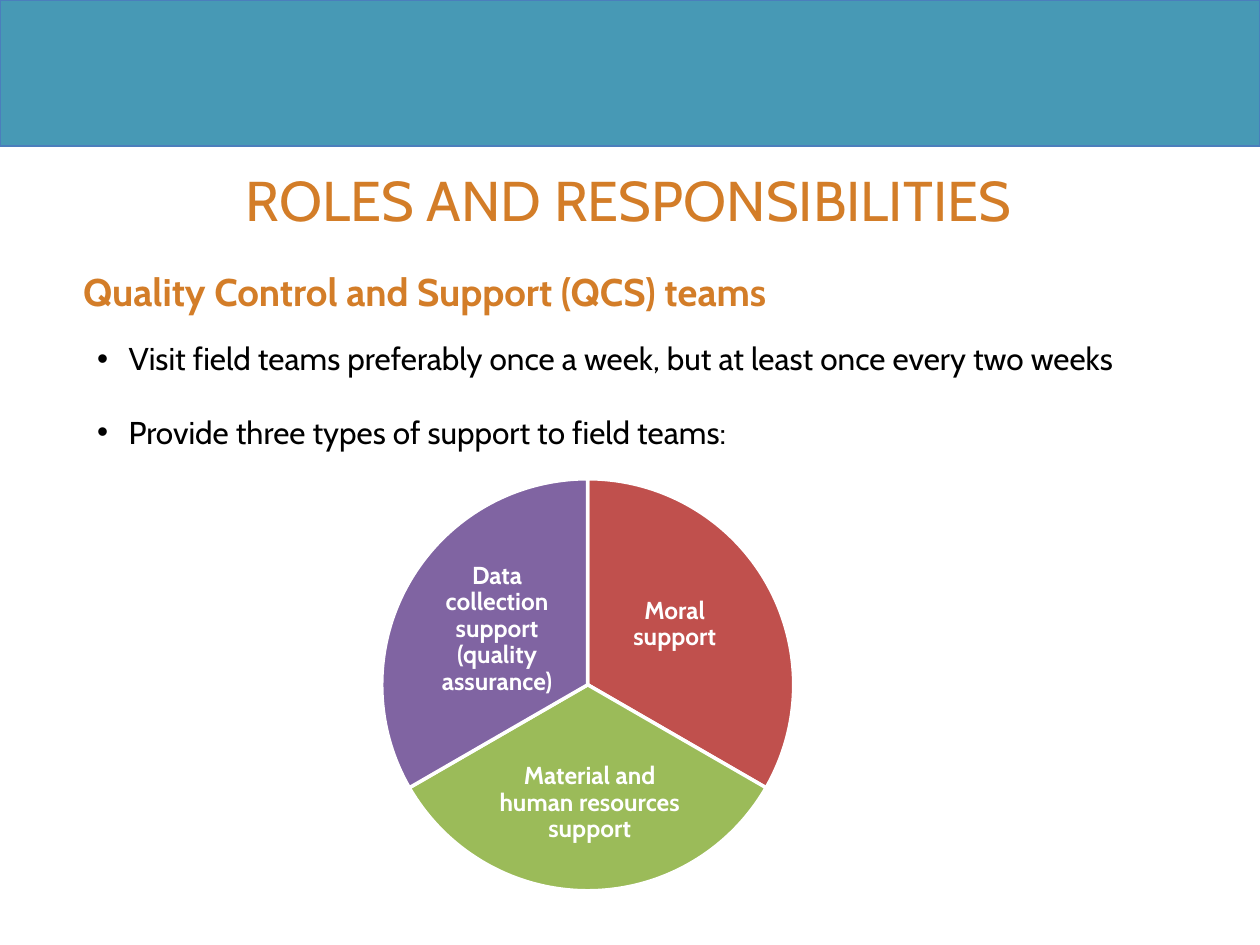
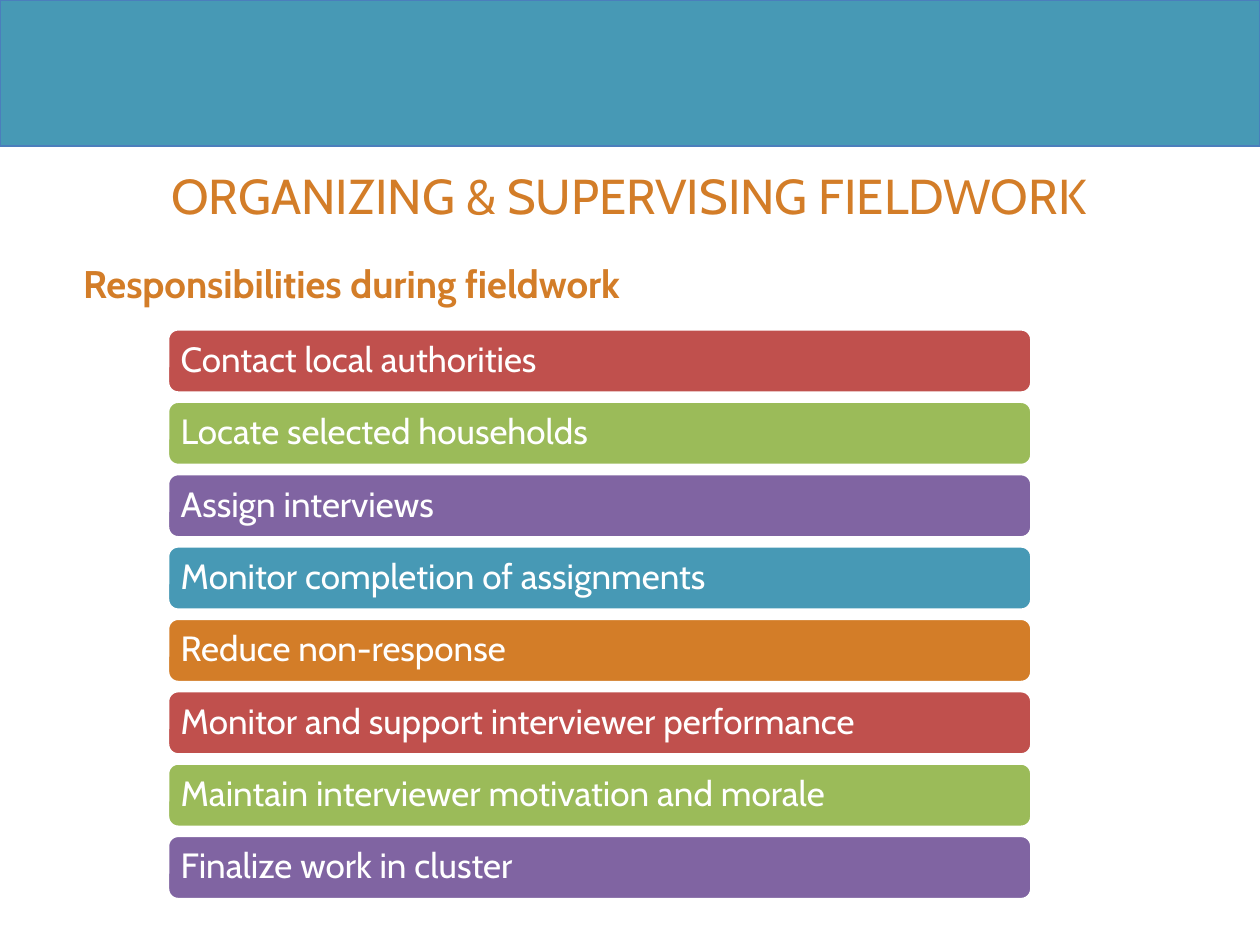
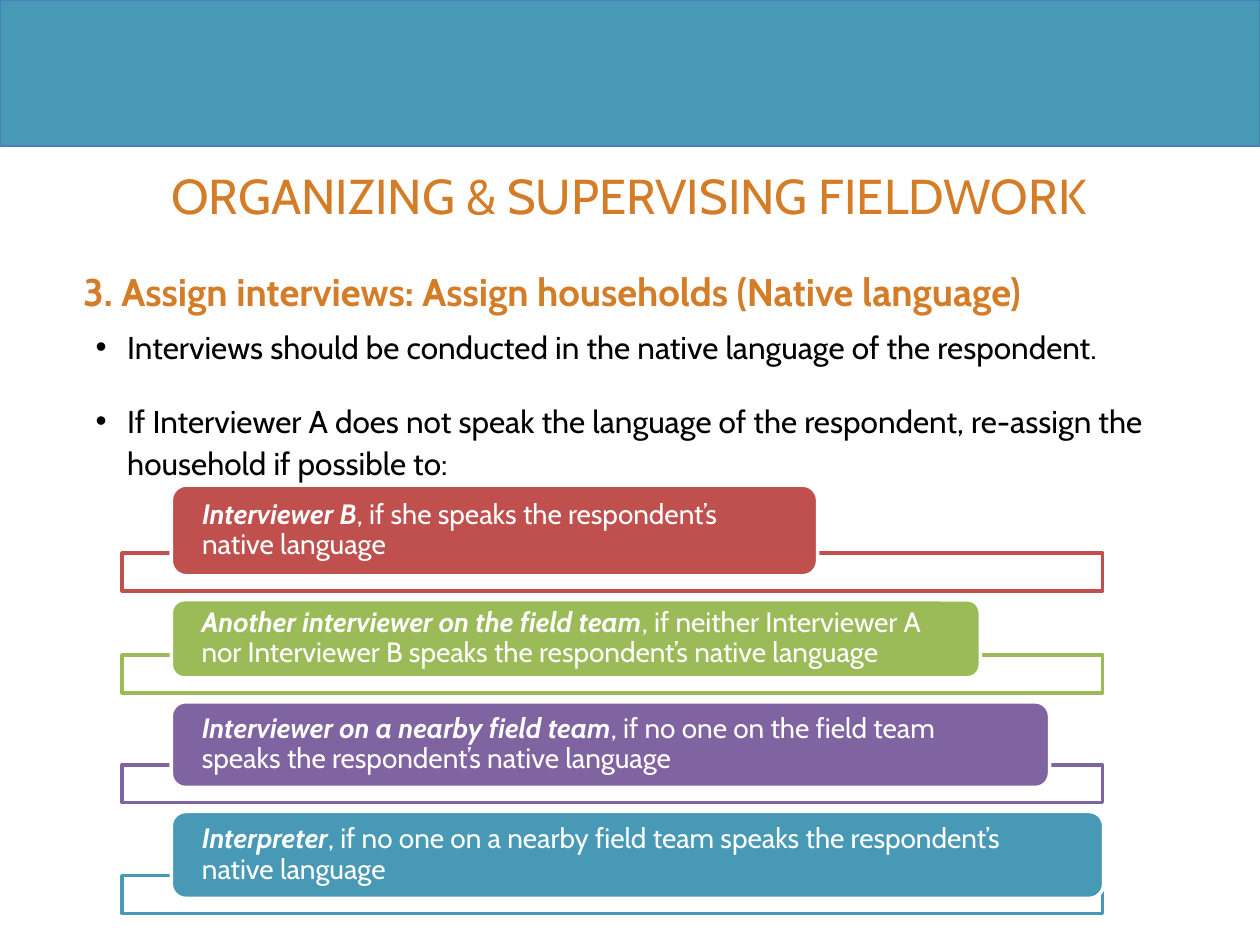
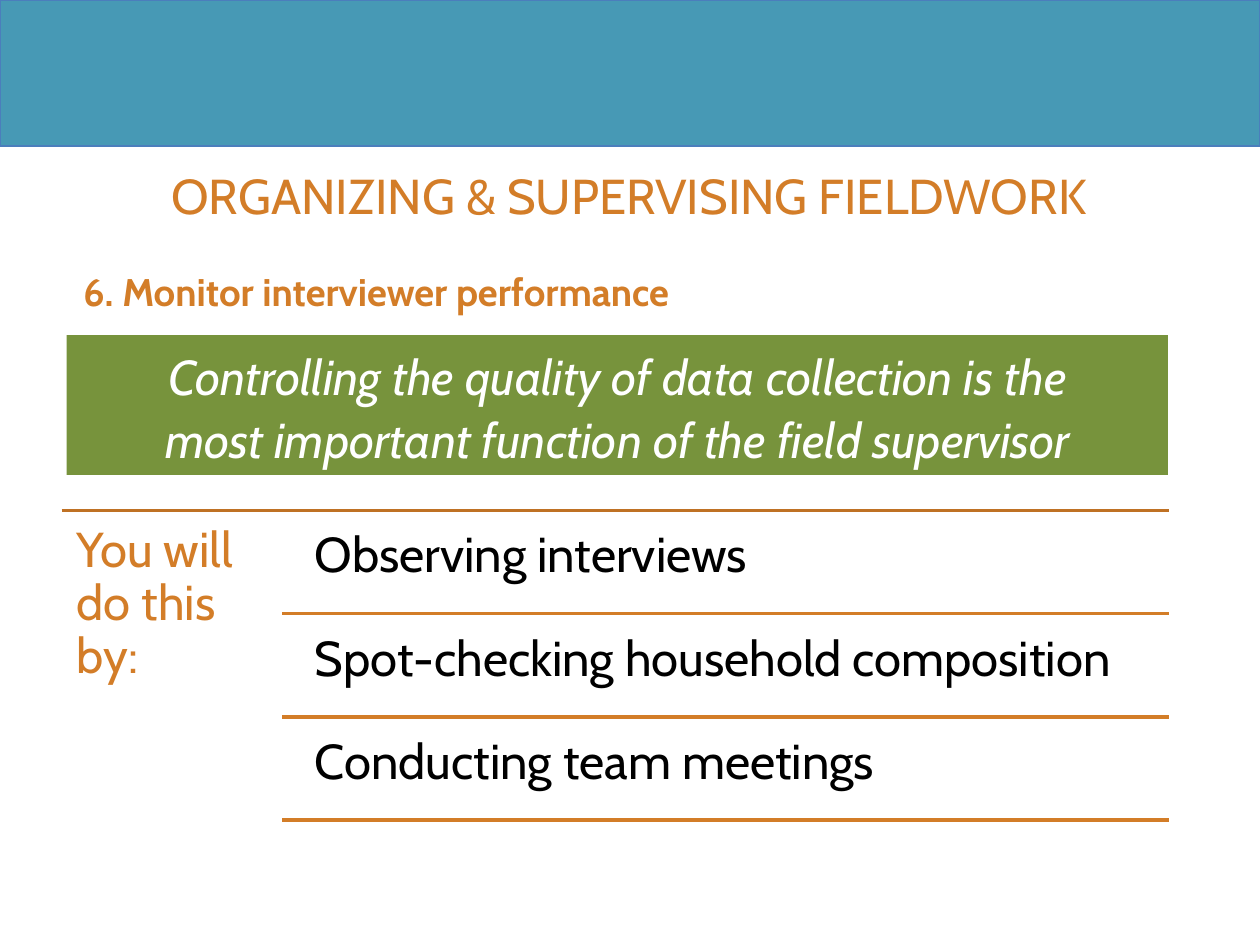
import pptx
import pptx.util
import pptx.dml.color
import pptx.enum.shapes
import pptx.enum.text
import pptx.oxml
import pptx.oxml.ns
from lxml import etree

Inches = pptx.util.Inches
Pt = pptx.util.Pt
SHAPE = pptx.enum.shapes.MSO_SHAPE
ALIGN = pptx.enum.text.PP_ALIGN
ANCHOR = pptx.enum.text.MSO_ANCHOR
qn = pptx.oxml.ns.qn

FONT = "Cabin"
COLORS = {
    "teal": "4799B5", "band_edge": "4B7EBC", "orange": "D37D28",
    "dark_orange": "BF7124", "red": "C0504D", "green": "9BBB59",
    "purple": "8064A2", "olive": "77933C", "white": "FFFFFF", "black": "000000",
}
CYCLE = ["red", "green", "purple", "teal", "orange"]
TITLE_ONLY_HEADING, TITLE_HEADING_LIST = 1, 3  # template layouts
FIELDWORK = "ORGANIZING & SUPERVISING FIELDWORK"


def rgb(name):
    return pptx.dml.color.RGBColor.from_string(COLORS[name])


def place(shape, box):
    shape.left, shape.top, shape.width, shape.height = map(Inches, box)


def set_frame(frame, insets=(0.1, 0.05), anchor=ANCHOR.TOP):
    frame.word_wrap = True
    frame.auto_size = pptx.enum.text.MSO_AUTO_SIZE.NONE
    frame.vertical_anchor = anchor
    frame.margin_left = frame.margin_right = Inches(insets[0])
    frame.margin_top = frame.margin_bottom = Inches(insets[1])


def style(paragraph, size, color, bold=False, italic=False,
          align=ALIGN.LEFT, spacing=None):
    paragraph.alignment = align
    if spacing:
        paragraph.line_spacing = spacing
    font = paragraph.font
    font.name, font.size, font.bold, font.italic = FONT, Pt(size), bold, italic
    font.color.rgb = rgb(color)


def set_bullet(paragraph, char=None, indent=0):
    """Give the paragraph a hanging bullet, or none at all."""
    props = paragraph._p.get_or_add_pPr()
    props.set("marL", str(Inches(indent)))
    props.set("indent", str(-Inches(indent)))
    if char:
        etree.SubElement(props, qn("a:buChar")).set("char", char)
    else:
        etree.SubElement(props, qn("a:buNone"))


def add_block(slide, kind, box, fill, line=None, width=2):
    block = slide.shapes.add_shape(kind, *map(Inches, box))
    block.shadow.inherit = False
    block.fill.solid()
    block.fill.fore_color.rgb = rgb(fill)
    if line:
        block.line.color.rgb = rgb(line)
        block.line.width = Pt(width)
    else:
        block.line.fill.background()
    return block


def add_label(slide, box, text, insets, anchor=ANCHOR.TOP, **look):
    label = slide.shapes.add_textbox(*map(Inches, box))
    set_frame(label.text_frame, insets, anchor)
    paragraph = label.text_frame.paragraphs[0]
    paragraph.text = text
    style(paragraph, spacing=0.9, **look)


def add_rule(slide, left, right, y, color):
    rule = slide.shapes.add_connector(
        pptx.enum.shapes.MSO_CONNECTOR.STRAIGHT,
        Inches(left), Inches(y), Inches(right), Inches(y))
    rule.line.color.rgb = rgb(color)
    rule.line.width = Pt(2)
    etree.SubElement(rule.element.spPr, qn("a:effectLst"))


# Shared parts
def add_master_band(prs, slide):
    """Draw the top band and move it to the back of the master."""
    band = add_block(slide, SHAPE.RECTANGLE, (0, 0, 10, 1.16),
                     "teal", "band_edge", 0.75)
    band.element.xpath(".//p:cNvPr")[0].set("id", "20")
    prs.slide_master.shapes.element.insert(2, band.element)


def start_slide(prs, layout, title, heading, title_size=28, heading_top=2.08):
    slide = prs.slides.add_slide(prs.slide_layouts[layout])
    place(slide.shapes.title, (0.49, 1.26, 9, 0.65))
    frame = slide.shapes.title.text_frame
    set_frame(frame)
    frame.margin_bottom = 0
    frame.text = title
    style(frame.paragraphs[0], title_size, "orange", align=ALIGN.CENTER)

    heading_box = slide.placeholders[1]
    place(heading_box, (0.56, heading_top, 8.92, 0.49))
    frame = heading_box.text_frame
    set_frame(frame)
    frame.text = heading
    set_bullet(frame.paragraphs[0])
    frame.paragraphs[0].space_before = Pt(0)
    style(frame.paragraphs[0], 22, "orange", bold=True)
    return slide


def fill_list(slide, box, items):
    place(slide.placeholders[2], box)
    frame = slide.placeholders[2].text_frame
    set_frame(frame)
    frame.text = "\n".join(items)
    for i, paragraph in enumerate(frame.paragraphs):
        set_bullet(paragraph, "•", 0.25)
        paragraph.space_before = Pt(18 if i else 0)
        style(paragraph, 18, "black", spacing=Pt(24))


# Regions
def add_support_wheel(slide, box):
    """Three equal sectors, clockwise from the top, each with its label."""
    left, top, size = box
    sectors = [
        ("Moral support", (1.77, 0.61, 1.11, 1.09)),
        ("Material and human resources support", (0.91, 2.07, 1.48, 1.01)),
        ("Data collection support (quality assurance)", (0.36, 0.65, 1.11, 1.09)),
    ]
    for i, (text, (dx, dy, width, height)) in enumerate(sectors):
        sector = add_block(slide, SHAPE.PIE, (left, top, size, size),
                           CYCLE[i], "white")
        # Angles in units of 100000 / 60000 degrees
        start = (270 + 120 * i) % 360
        sector.adjustments[0] = start * 0.6
        sector.adjustments[1] = (start + 120) % 360 * 0.6
        add_label(slide, (left + dx, top + dy, width, height), text,
                  (0.02, 0.02), ANCHOR.MIDDLE, size=14, color="white",
                  bold=True, align=ALIGN.CENTER)


def add_task_bars(slide, box, tasks):
    left, top, width, height = box
    bar_height = 0.51
    pitch = (height - bar_height) / (len(tasks) - 1)
    for i, task in enumerate(tasks):
        bar = add_block(slide, SHAPE.ROUNDED_RECTANGLE,
                        (left, top + i * pitch, width, bar_height),
                        CYCLE[i % len(CYCLE)], "white")
        set_frame(bar.text_frame, (0.08, 0.08), ANCHOR.MIDDLE)
        bar.text_frame.text = task
        style(bar.text_frame.paragraphs[0], 20, "white", spacing=0.9)


def add_reassignment_steps(slide, box, steps):
    """Outlined bars, each under a filled block that holds the text."""
    left, top, width = box
    for i, (bar_dy, dy, block_width, height, who, condition) in enumerate(steps):
        bar = add_block(slide, SHAPE.RECTANGLE,
                        (left, top + bar_dy, width, 0.3), "white", CYCLE[i])
        tint = bar.element.spPr.find(qn("a:solidFill"))[0]
        etree.SubElement(tint, qn("a:alpha")).set("val", "90000")

        block = add_block(slide, SHAPE.ROUNDED_RECTANGLE,
                          (left + 0.39, top + dy, block_width, height),
                          CYCLE[i], "white")
        set_frame(block.text_frame, (0.21, 0), ANCHOR.MIDDLE)
        paragraph = block.text_frame.paragraphs[0]
        style(paragraph, 16, "white", spacing=0.9)
        lead = paragraph.add_run()
        lead.text = who
        lead.font.bold = lead.font.italic = True
        paragraph.add_run().text = condition


def add_quote(slide, box, lines):
    quote = add_block(slide, SHAPE.RECTANGLE, box, "olive")
    set_frame(quote.text_frame, anchor=ANCHOR.MIDDLE)
    quote.text_frame.text = "\n".join(lines)
    for paragraph in quote.text_frame.paragraphs:
        style(paragraph, 28, "white", italic=True, align=ALIGN.CENTER,
              spacing=Pt(36))


def add_ruled_list(slide, box, lead, items):
    left, top, width, pitch = box
    right = left + width
    insets = (0.12, 0.12)
    add_rule(slide, left, right, top, "dark_orange")
    add_label(slide, (left, top, 1.76, 2.5), lead, insets,
              size=28, color="orange")
    for i, item in enumerate(items):
        y = top + i * pitch
        add_label(slide, (left + 1.89, y + 0.04, width - 1.89, 0.78), item,
                  insets, size=28, color="black")
        add_rule(slide, left + 1.75, right, y + pitch, "orange")


# Slides
def roles_slide(prs):
    slide = start_slide(prs, TITLE_HEADING_LIST, "ROLES AND RESPONSIBILITIES",
                        "Quality Control and Support (QCS) teams", title_size=32)
    add_master_band(prs, slide)
    fill_list(slide, (0.67, 2.61, 8.86, 3.6), [
        "Visit field teams preferably once a week, but at least once every two weeks",
        "Provide three types of support to field teams:",
    ])
    add_support_wheel(slide, (3.03, 3.8, 3.27))


def responsibilities_slide(prs):
    slide = start_slide(prs, TITLE_ONLY_HEADING, FIELDWORK,
                        "Responsibilities during fieldwork", heading_top=2.01)
    add_task_bars(slide, (1.33, 2.61, 6.86, 4.53), [
        "Contact local authorities",
        "Locate selected households",
        "Assign interviews",
        "Monitor completion of assignments",
        "Reduce non-response",
        "Monitor and support interviewer performance",
        "Maintain interviewer motivation and morale",
        "Finalize work in cluster",
    ])


def native_language_slide(prs):
    slide = start_slide(prs, TITLE_HEADING_LIST, FIELDWORK,
                        "3. Assign interviews: Assign households (Native language)")
    fill_list(slide, (0.66, 2.52, 8.86, 3.6), [
        "Interviews should be conducted in the native language of the respondent.",
        "If Interviewer A does not speak the language of the respondent, "
        "re-assign the household if possible to:",
    ])
    # Bar offset, block offset, block width, block height, who, condition
    add_reassignment_steps(slide, (0.97, 3.85, 7.78), [
        (0.54, 0, 5.13, 0.72, "Interviewer B",
         ", if she speaks the respondent’s native language"),
        (1.35, 0.91, 6.42, 0.62, "Another interviewer on the field team",
         ", if neither Interviewer A nor Interviewer B speaks the "
         "respondent’s native language"),
        (2.22, 1.72, 6.97, 0.68, "Interviewer on a nearby field team",
         ", if no one on the field team speaks the respondent’s native language"),
        (3.1, 2.59, 7.4, 0.69, "Interpreter",
         ", if no one on a nearby field team speaks the respondent’s "
         "native language"),
    ])


def performance_slide(prs):
    slide = start_slide(prs, TITLE_ONLY_HEADING, FIELDWORK,
                        "6. Monitor interviewer performance")
    add_quote(slide, (0.53, 2.66, 8.74, 1.11), [
        "Controlling the quality of data collection is the",
        "most important function of the field supervisor",
    ])
    add_ruled_list(slide, (0.49, 4.05, 8.79, 0.82), "You will do this by:", [
        "Observing interviews",
        "Spot-checking household composition",
        "Conducting team meetings",
    ])


def main():
    prs = pptx.Presentation()
    prs.slide_width, prs.slide_height = Inches(10), Inches(7.5)
    roles_slide(prs)
    responsibilities_slide(prs)
    native_language_slide(prs)
    performance_slide(prs)
    prs.save("out.pptx")


if __name__ == "__main__":
    main()
